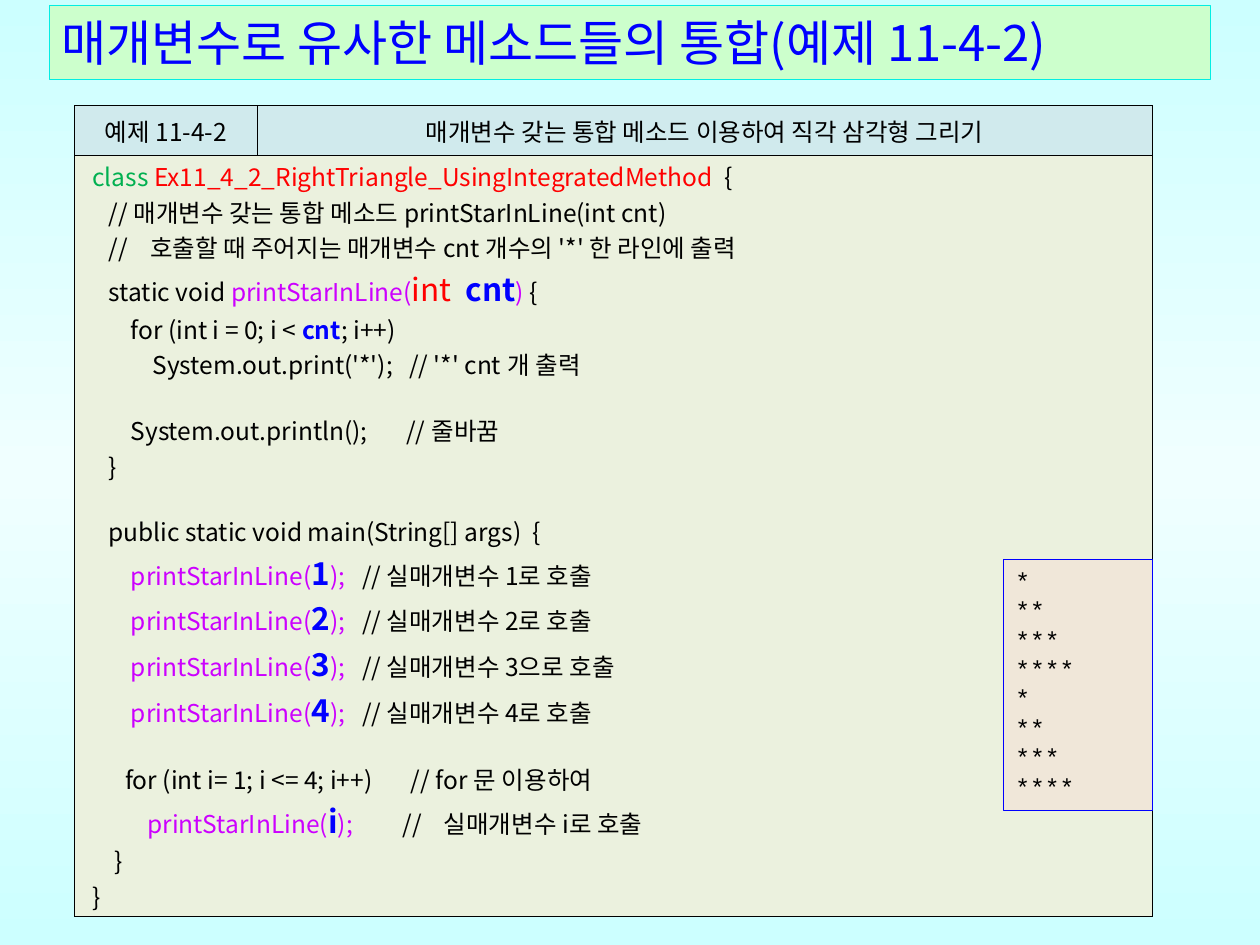
from copy import deepcopy

from pptx import Presentation
from pptx.dml.color import RGBColor
from pptx.enum.shapes import MSO_SHAPE as Shape
from pptx.enum.text import MSO_ANCHOR as Anchor, MSO_AUTO_SIZE as AutoSize, PP_ALIGN as Align
from pptx.oxml.ns import qn
from pptx.util import Cm, Pt
from lxml.etree import SubElement, Element

# Theme
THEME = {
    "font": "Noto Sans CJK KR", "mono": "Courier New",
    "title_size": 28, "code_size": 14, "accent_size": 18,
    "title_fill": "CCFFCC", "title_line": "03EDE2", "title_text": "0000FF",
    "header_fill": "D0EAED", "code_fill": "EBF1DE", "border": "000000",
    "output_fill": "FFCCCC", "output_line": "0000FF", "text": "000000",
    "background": [(0, "CCFFFF"), (0.5, "F0FFFF"), (1, "CCFFFF")],
}
# Code styles: colour, size, bold
STYLES = {
    "plain": (THEME["text"], THEME["code_size"], False),
    "keyword": ("00B050", THEME["code_size"], False),
    "class": ("FF0000", THEME["code_size"], False),
    "method": ("CC00FF", THEME["code_size"], False),
    "type": ("FF0000", THEME["accent_size"], False),
    "name": ("0000FF", THEME["code_size"], True),
    "argument": ("0000FF", THEME["accent_size"], True),
}

# Content
TITLE = "매개변수로 유사한 메소드들의 통합(예제 11-4-2)"
HEADERS = ["예제 11-4-2", "매개변수 갖는 통합 메소드 이용하여 직각 삼각형 그리기"]


def call_line(indent, argument, tail, comment):
    return [(indent, "plain"), ("printStarInLine(", "method"), (argument, "argument"),
            (tail, "method"), (comment, "plain")]


CALLS = [("1", "로"), ("2", "로"), ("3", "으로"), ("4", "로")]
CODE = [
    [("class", "keyword"), (" Ex11_4_2_RightTriangle_UsingIntegratedMethod  ", "class"),
     ("{", "plain")],
    [("   // 매개변수 갖는 통합 메소드 printStarInLine(int cnt)", "plain")],
    [("   //    호출할 때 주어지는 매개변수 cnt 개수의 '*' 한 라인에 출력", "plain")],
    [("   static void ", "plain"), ("printStarInLine(", "method"), ("int  ", "type"),
     ("cnt", "argument"), (")", "method"), (" {", "plain")],
    [("       for (int i = 0; i < ", "plain"), ("cnt", "name"), ("; i++)", "plain")],
    [("           System.out.print('*');   // '*' cnt 개 출력", "plain")],
    [],
    [("       System.out.println();       // 줄바꿈", "plain")],
    [("   }", "plain")],
    [],
    [("   public static void main(String[] args)  {", "plain")],
    *[call_line("       ", number, ");   ", f"// 실매개변수 {number}{particle} 호출")
      for number, particle in CALLS],
    [],
    [("      for (int i= 1; i <= 4; i++)       // for 문 이용하여", "plain")],
    call_line("          ", "i", ");         ", "//    실매개변수 i로 호출"),
    [("    }", "plain")],
    [("}", "plain")],
]
OUTPUT = ["*" * count for count in (1, 2, 3, 4)] * 2

# Layout in cm: left, top, width, height
TITLE_BOX = (0.99, 0.1, 23.4, 1.5)
TABLE_BOX = (1.5, 2.13, 21.73, 14.46)
OUTPUT_BOX = (20.22, 11.28, 3, 5.05)
LABEL_WIDTH, HEADER_HEIGHT = 3.69, 1


def rgb(key):
    return RGBColor.from_string(key)


def style_run(run, font, size, color, bold=False):
    run.font.name, run.font.size, run.font.bold = font, Pt(size), bold
    run.font.color.rgb = rgb(color)
    SubElement(run._r.rPr, qn("a:ea"), typeface=font)


def style_shape(shape, fill, line):
    shape.shadow.inherit = False
    shape.fill.solid()
    shape.fill.fore_color.rgb = rgb(fill)
    shape.line.color.rgb = rgb(line)
    shape.line.width = Pt(0.25)


def style_cell(cell, fill):
    cell.margin_left = cell.margin_right = Cm(0.18)
    cell.margin_top = cell.margin_bottom = Cm(0.05)
    cell.vertical_anchor = Anchor.MIDDLE
    cell.fill.solid()
    cell.fill.fore_color.rgb = rgb(fill)
    properties = cell._tc.get_or_add_tcPr()
    for position, side in enumerate(("a:lnL", "a:lnR", "a:lnT", "a:lnB")):
        border = Element(qn(side), w=str(Pt(0.28)))
        solid = SubElement(border, qn("a:solidFill"))
        SubElement(solid, qn("a:srgbClr"), val=THEME["border"])
        properties.insert(position, border)


def paint_background(slide):
    fill = slide.background.fill
    fill.gradient()
    fill.gradient_angle = 270
    stop_list = slide._element.find(".//" + qn("a:gsLst"))
    stop_list.append(deepcopy(stop_list[-1]))
    for stop, (position, color) in zip(fill.gradient_stops, THEME["background"]):
        stop.position = position
        stop.color.rgb = rgb(color)


def add_title(slide):
    title = slide.shapes.title
    title.left, title.top, title.width, title.height = map(Cm, TITLE_BOX)
    style_shape(title, THEME["title_fill"], THEME["title_line"])
    frame = title.text_frame
    frame.text = TITLE
    frame.auto_size = AutoSize.NONE
    frame.vertical_anchor = Anchor.MIDDLE
    frame.paragraphs[0].alignment = Align.LEFT
    style_run(frame.paragraphs[0].runs[0], THEME["font"], THEME["title_size"], THEME["title_text"])


def write_code(frame):
    for index, line in enumerate(CODE):
        paragraph = frame.paragraphs[0] if index == 0 else frame.add_paragraph()
        paragraph.alignment = Align.JUSTIFY
        paragraph._p.get_or_add_pPr().set("marL", str(Cm(0.18)))
        for text, style in line:
            run = paragraph.add_run()
            run.text = text
            color, size, bold = STYLES[style]
            style_run(run, THEME["font"], size, color, bold)
        if not line:
            SubElement(paragraph._p, qn("a:endParaRPr"), sz=str(THEME["code_size"] * 100))


def add_code_table(slide):
    table = slide.shapes.add_table(2, 2, *map(Cm, TABLE_BOX)).table
    table.first_row = table.horz_banding = False
    width, height = TABLE_BOX[2:]
    table.columns[0].width, table.columns[1].width = Cm(LABEL_WIDTH), Cm(width - LABEL_WIDTH)
    table.rows[0].height, table.rows[1].height = Cm(HEADER_HEIGHT), Cm(height - HEADER_HEIGHT)
    table.cell(1, 0).merge(table.cell(1, 1))
    for column, header in enumerate(HEADERS):
        style_cell(table.cell(0, column), THEME["header_fill"])
        style_cell(table.cell(1, column), THEME["code_fill"])
        paragraph = table.cell(0, column).text_frame.paragraphs[0]
        paragraph.text = header
        paragraph.alignment = Align.CENTER
        style_run(paragraph.runs[0], THEME["font"], THEME["code_size"], THEME["text"])
    write_code(table.cell(1, 0).text_frame)


def add_output(slide):
    output = slide.shapes.add_shape(Shape.RECTANGLE, *map(Cm, OUTPUT_BOX))
    style_shape(output, THEME["output_fill"], THEME["output_line"])
    fill_color = output._element.spPr.find(qn("a:solidFill"))[0]
    SubElement(fill_color, qn("a:alpha"), val="25000")
    frame = output.text_frame
    frame.text = "\n".join(OUTPUT)
    frame.word_wrap = True
    frame.auto_size = AutoSize.SHAPE_TO_FIT_TEXT
    frame.vertical_anchor = Anchor.TOP
    for paragraph in frame.paragraphs:
        paragraph.alignment = Align.LEFT
        style_run(paragraph.runs[0], THEME["mono"], THEME["code_size"], THEME["text"])


def main():
    deck = Presentation()
    deck.slide_width, deck.slide_height = Cm(25.4), Cm(19.05)
    slide = deck.slides.add_slide(deck.slide_layouts[5])
    paint_background(slide)
    add_title(slide)
    add_code_table(slide)
    add_output(slide)
    deck.save("out.pptx")


if __name__ == "__main__":
    main()
